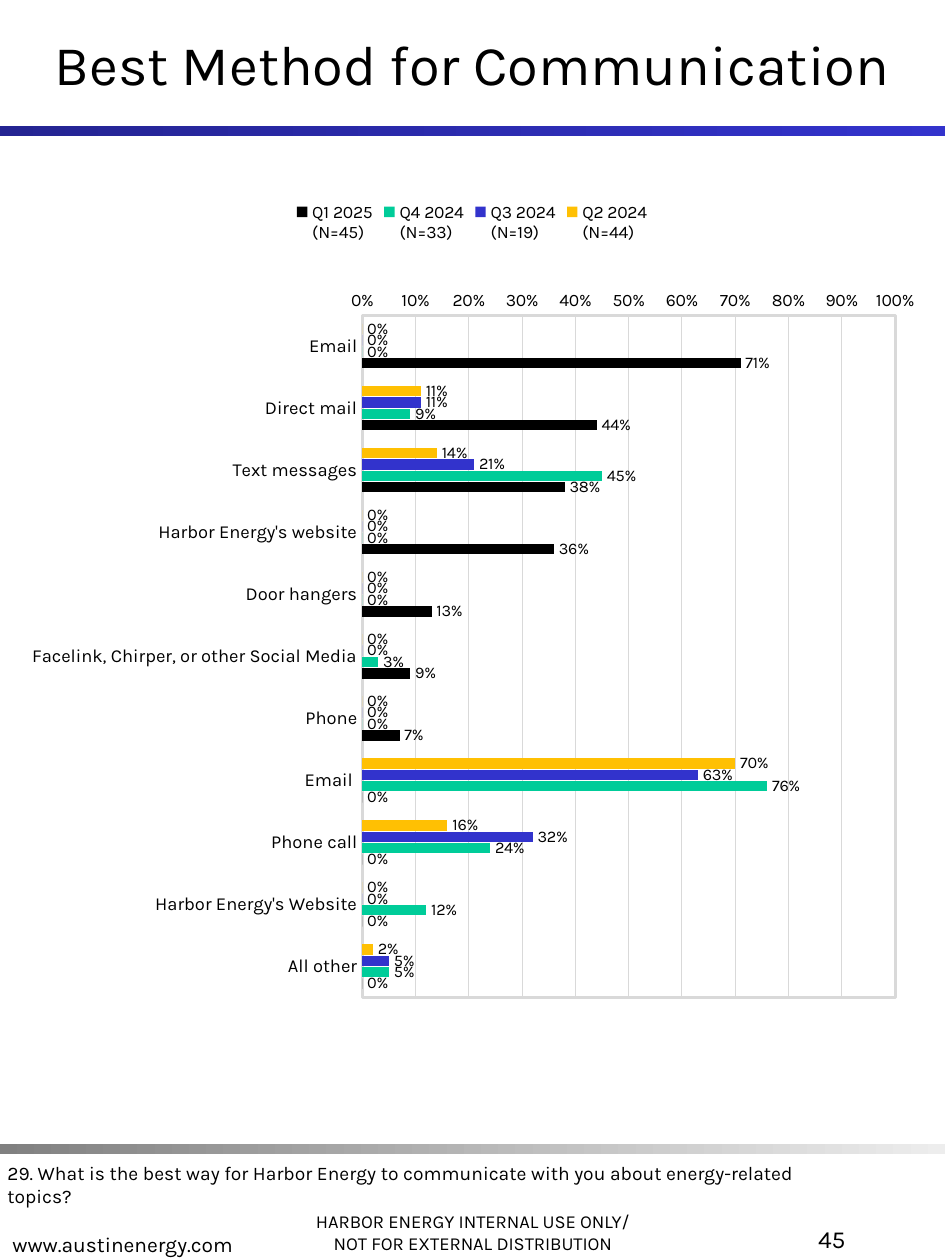
from lxml import etree
from pptx import Presentation
from pptx.chart.data import CategoryChartData
from pptx.dml.color import RGBColor
from pptx.enum.chart import (XL_AXIS_CROSSES, XL_CHART_TYPE, XL_LABEL_POSITION,
                             XL_LEGEND_POSITION, XL_TICK_MARK)
from pptx.enum.shapes import MSO_SHAPE
from pptx.enum.text import MSO_ANCHOR, MSO_AUTO_SIZE, PP_ALIGN
from pptx.oxml import parse_xml
from pptx.oxml.ns import nsdecls, qn
from pptx.util import Emu, Pt

BAR_CLUSTERED = XL_CHART_TYPE.BAR_CLUSTERED
OUTSIDE_END = XL_LABEL_POSITION.OUTSIDE_END
LEGEND_TOP = XL_LEGEND_POSITION.TOP
CROSS_MAX = XL_AXIS_CROSSES.MAXIMUM
NO_TICK = XL_TICK_MARK.NONE
RECT = MSO_SHAPE.RECTANGLE
TOP, MIDDLE, BOTTOM = MSO_ANCHOR.TOP, MSO_ANCHOR.MIDDLE, MSO_ANCHOR.BOTTOM
LEFT, CENTER, RIGHT = PP_ALIGN.LEFT, PP_ALIGN.CENTER, PP_ALIGN.RIGHT

FONT = "Karla"
BLACK = RGBColor(0x00, 0x00, 0x00)
NAVY = RGBColor(0x24, 0x24, 0x92)
BLUE = RGBColor(0x33, 0x33, 0xCC)
GRAY = RGBColor(0x80, 0x80, 0x80)
PALE_GRAY = RGBColor(0xED, 0xED, 0xED)
GRID_GRAY = RGBColor(0xD9, 0xD9, 0xD9)
BAR_YELLOW = RGBColor(0xFF, 0xC0, 0x03)
BAR_BLUE = RGBColor(0x32, 0x33, 0xCC)
BAR_GREEN = RGBColor(0x00, 0xCC, 0x99)

CATEGORIES = ["Email", "Direct mail", "Text messages", "Harbor Energy's website",
              "Door hangers", "Facelink, Chirper, or other Social Media", "Phone",
              "Email ", "Phone call", "Harbor Energy's Website", "All other"]
SERIES = [
    ("Q2 2024\n(N=44)", BAR_YELLOW, [0, 0.11, 0.14, 0, 0, 0, 0, 0.7, 0.16, 0, 0.02]),
    ("Q3 2024\n(N=19)", BAR_BLUE, [0, 0.11, 0.21, 0, 0, 0, 0, 0.63, 0.32, 0, 0.05]),
    ("Q4 2024\n(N=33)", BAR_GREEN, [0, 0.09, 0.45, 0, 0, 0.03, 0, 0.76, 0.24, 0.12, 0.05]),
    ("Q1 2025\n(N=45)", BLACK, [0.71, 0.44, 0.38, 0.36, 0.13, 0.09, 0.07, 0, 0, 0, 0]),
]
PLOT_LAYOUT = {"x": 0.38, "y": 0.146, "w": 0.583, "h": 0.79}


def px(n):
    return Emu(round(n * 914400 / 126))


def set_font(font, size):
    font.name = FONT
    font.size = Pt(size)
    font.color.rgb = BLACK


def fill_text(sp, lines, size, align, anchor):
    tf = sp.text_frame
    tf.word_wrap = True
    tf.auto_size = MSO_AUTO_SIZE.NONE
    tf.vertical_anchor = anchor
    tf.text = "\n".join(lines)
    for p in tf.paragraphs:
        p.alignment = align
        set_font(p.font, size)


def add_title(slide, text):
    sp = slide.shapes.title
    sp.left, sp.top, sp.width, sp.height = px(0), px(0), px(945), px(126)
    fill_text(sp, [text], 32, CENTER, MIDDLE)


def add_text(slide, box, lines, size, align=LEFT, anchor=TOP):
    sp = slide.shapes.add_textbox(*map(px, box))
    fill_text(sp, lines, size, align, anchor)


def add_band(slide, top, start, end):
    """Full-width bar with a left-to-right gradient."""
    sp = slide.shapes.add_shape(RECT, px(0), px(top), px(945), px(10))
    sp.shadow.inherit = False
    sp.line.fill.background()
    sp.fill.gradient()
    sp.fill.gradient_angle = 0
    for stop, color, position in zip(sp.fill.gradient_stops, (start, end), (0, 1)):
        stop.color.rgb = color
        stop.position = position


def style_line(line, width):
    line.color.rgb = GRID_GRAY
    line.width = Pt(width)


def style_axis(axis, size, width):
    axis.major_tick_mark = axis.minor_tick_mark = NO_TICK
    set_font(axis.tick_labels.font, size)
    style_line(axis.format.line, width)


def frame_plot(chart):
    """Fix the inner plot area and give it a grey border."""
    area = chart._chartSpace.chart.plotArea
    for old in area.findall(qn("c:layout")):
        area.remove(old)
    layout = etree.Element(qn("c:layout"))
    manual = etree.SubElement(layout, qn("c:manualLayout"))
    settings = {"layoutTarget": "inner", "xMode": "edge", "yMode": "edge", **PLOT_LAYOUT}
    for tag, value in settings.items():
        etree.SubElement(manual, qn(f"c:{tag}")).set("val", str(value))
    area.insert(0, layout)
    area.append(parse_xml(
        f'<c:spPr {nsdecls("c", "a")}><a:noFill/><a:ln w="{Pt(1.75)}"><a:solidFill>'
        f'<a:srgbClr val="{GRID_GRAY}"/></a:solidFill></a:ln></c:spPr>'))


def style_series(series, color):
    series.format.fill.solid()
    series.format.fill.fore_color.rgb = color
    series.invert_if_negative = False
    labels = series.data_labels
    labels.show_value = True
    labels.number_format = "0%"
    labels.number_format_is_linked = False
    labels.position = OUTSIDE_END
    set_font(labels.font, 9.3)


def add_method_chart(slide):
    data = CategoryChartData(number_format="0%")
    data.categories = CATEGORIES
    for name, _, values in SERIES:
        data.add_series(name, values)
    chart = slide.shapes.add_chart(
        BAR_CLUSTERED, px(15), px(189), px(914), px(864), data).chart
    set_font(chart.font, 10)
    chart.has_title = False
    chart.has_legend = True
    chart.legend.position = LEGEND_TOP
    chart.legend.include_in_layout = False
    set_font(chart.legend.font, 10)

    plot = chart.plots[0]
    plot.gap_width = 170
    plot.overlap = -10
    plot.vary_by_categories = False
    for series, (_, color, _) in zip(plot.series, SERIES):
        style_series(series, color)

    cat_axis, val_axis = chart.category_axis, chart.value_axis
    style_axis(cat_axis, 10.5, 0.63)
    cat_axis.reverse_order = True
    cat_axis.crosses = CROSS_MAX
    style_axis(val_axis, 10, 0.42)
    val_axis.minimum_scale, val_axis.maximum_scale = 0, 1
    val_axis.major_unit = 0.1
    val_axis.tick_labels.number_format = "0%"
    val_axis.tick_labels.number_format_is_linked = False
    val_axis.has_major_gridlines = True
    style_line(val_axis.major_gridlines.format.line, 0.63)
    frame_plot(chart)


def main():
    prs = Presentation()
    prs.slide_width, prs.slide_height = px(945), px(1260)
    slide = prs.slides.add_slide(prs.slide_layouts[5])
    add_band(slide, 126, NAVY, BLUE)
    add_band(slide, 1144, GRAY, PALE_GRAY)
    add_title(slide, "Best Method for Communication")
    add_method_chart(slide)
    add_text(slide, (-5, 1155, 863, 37),
             ["29. What is the best way for Harbor Energy to communicate with you "
              "about energy-related topics?"], 11)
    add_text(slide, (272, 1176, 402, 84),
             ["HARBOR ENERGY INTERNAL USE ONLY/", "NOT FOR EXTERNAL DISTRIBUTION"],
             10.5, CENTER, BOTTOM)
    add_text(slide, (0, 1179, 402, 84), ["www.austinenergy.com"], 12, anchor=BOTTOM)
    add_text(slide, (662, 1218, 196, 84), ["45"], 14, RIGHT)
    prs.save("out.pptx")


if __name__ == "__main__":
    main()
